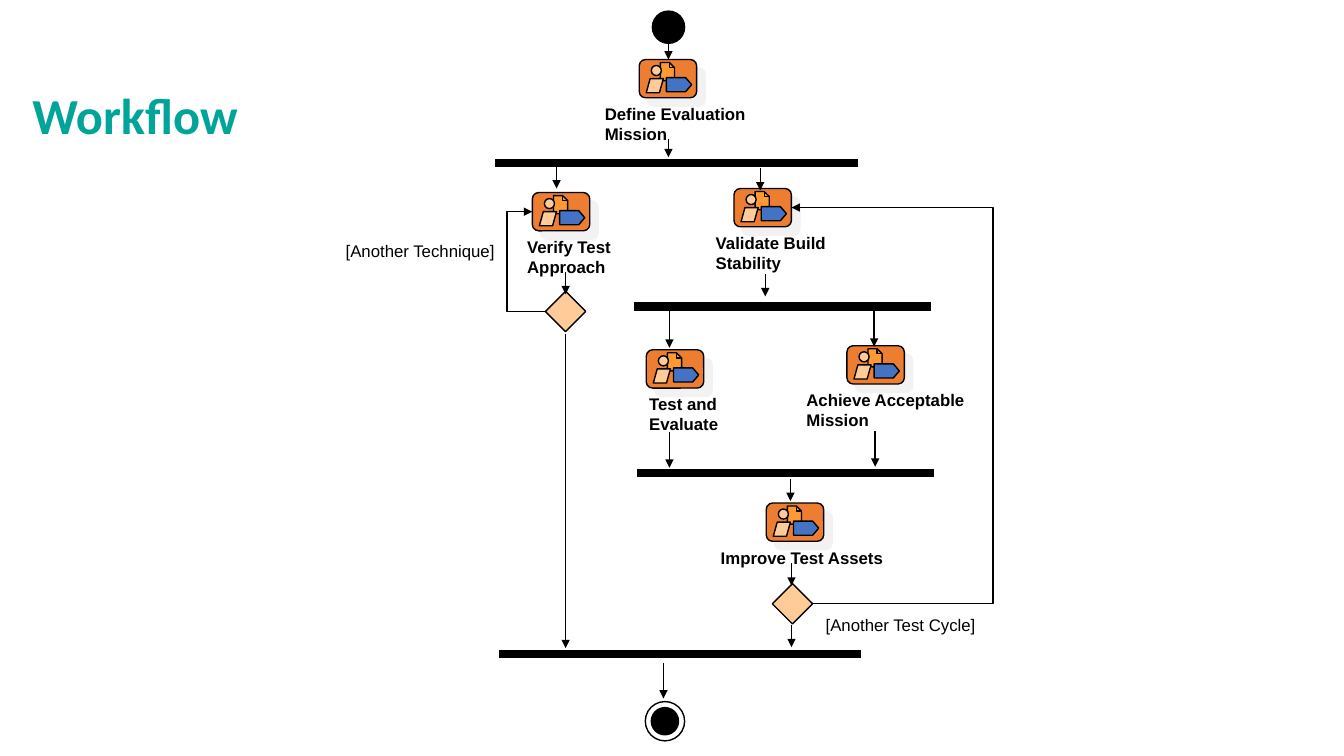
from lxml.etree import SubElement
from pptx import Presentation
from pptx.dml.color import RGBColor
from pptx.enum.shapes import MSO_CONNECTOR, MSO_SHAPE
from pptx.enum.text import MSO_ANCHOR, MSO_AUTO_SIZE, PP_ALIGN
from pptx.oxml.ns import qn
from pptx.util import Pt

EMU_PER_PX = 9144
BLACK, ORANGE, PAPER, PEACH, BLUE, TEAL, SHADOW = (
    "000000", "ED7D31", "FF9933", "FFCC99", "4472C4", "00A499", "E7E6E6")

BARS = [(491, 162, 360), (629, 304, 294), (632, 469, 294), (495, 649, 359)]
ACTIVITIES = [
    (634, 59, 590, 160, ["Define Evaluation", "Mission"]),
    (528, 191, 513, 105, ["Verify Test", "Approach"]),
    (728, 187, 700, 131, ["Validate Build", "Stability"]),
    (641, 347, 634, 89, ["Test and", "Evaluate"]),
    (840, 343, 790, 177, ["Achieve Acceptable", "Mission"]),
    (760, 499, 705, 183, ["Improve Test Assets"]),
]
DECISIONS = [(541, 289), (766, 579)]
GUARDS = [(333, 234, 170, "[Another Technique]"), (809, 605, 171, "[Another Test Cycle]")]
ARROWS = [
    (663, 43, 59), (663, 138, 156), (552, 165, 187), (754, 167, 189),
    (759, 272, 294), (561, 270, 292), (664, 309, 345), (867, 308, 344),
    (664, 429, 464), (868, 428, 463), (784, 475, 497), (785, 559, 581),
    (785, 620, 642), (561, 331, 643), (658, 658, 693),
]
LOOPS = [((806, 599), (785, 206), 985), ((541, 309), (528, 210), 503)]


def px(length):
    return int(length * EMU_PER_PX)


def color(hex_string):
    return RGBColor.from_string(hex_string)


def apply_format(target, values):
    for name, value in values.items():
        setattr(target, name, value)


def style_shape(shape, fill):
    if fill:
        shape.fill.solid()
        shape.fill.fore_color.rgb = color(fill)
    else:
        shape.fill.background()
    shape.line.color.rgb = color(BLACK)
    shape.line.width = Pt(1)
    shape.shadow.inherit = False


def add_preset(slide, kind, box, fill, adjustment=None):
    shape = slide.shapes.add_shape(kind, *map(px, box))
    style_shape(shape, fill)
    if adjustment is not None:
        shape.adjustments[0] = adjustment
    return shape


def add_outline(slide, points, fill, close):
    builder = slide.shapes.build_freeform(*points[0], scale=EMU_PER_PX)
    builder.add_line_segments(points[1:], close=close)
    style_shape(builder.convert_to_shape(), fill)


def add_line(slide, start, end, width=1, arrow=False, kind=MSO_CONNECTOR.STRAIGHT):
    connector = slide.shapes.add_connector(kind, *map(px, (*start, *end)))
    connector.line.color.rgb = color(BLACK)
    connector.line.width = Pt(width)
    properties = connector.element.spPr
    if arrow:
        SubElement(properties.find(qn("a:ln")), qn("a:tailEnd"), type="triangle")
    SubElement(properties, qn("a:effectLst"))
    return connector


def add_label(slide, box, lines, bold):
    frame = slide.shapes.add_textbox(*map(px, box)).text_frame
    apply_format(frame, {"word_wrap": False, "auto_size": MSO_AUTO_SIZE.SHAPE_TO_FIT_TEXT})
    frame.text = "\n".join(lines)
    for paragraph in frame.paragraphs:
        apply_format(paragraph.font, {"name": "Arial", "size": Pt(12), "bold": bold})
        paragraph.font.color.rgb = color(BLACK)


def draw_title(slide, left, top, width, height):
    title = slide.shapes.title
    apply_format(title, {"left": px(left), "top": px(top), "width": px(width), "height": px(height)})
    title.text_frame.text = "Workflow"
    apply_format(title.text_frame, {"vertical_anchor": MSO_ANCHOR.BOTTOM, "word_wrap": True})
    paragraph = title.text_frame.paragraphs[0]
    apply_format(paragraph, {"alignment": PP_ALIGN.LEFT, "line_spacing": 0.9})
    font = paragraph.runs[0].font
    apply_format(font, {"name": "Calibri", "size": Pt(36), "bold": True})
    font.color.rgb = color(TEAL)


def add_card_shadow(card):
    effects = card.element.spPr.find(qn("a:effectLst"))
    shadow = SubElement(effects, qn("a:outerShdw"), dist=str(Pt(8.5)), dir="2700000",
                        algn="ctr", rotWithShape="0")
    tint = SubElement(shadow, qn("a:srgbClr"), val=SHADOW)
    SubElement(tint, qn("a:alpha"), val="50000")


def draw_activity(slide, left, top, label_left, label_width, lines):
    card = add_preset(slide, MSO_SHAPE.ROUNDED_RECTANGLE, (left, top, 57, 38), ORANGE, 0.167)
    add_card_shadow(card)
    page_left, fold_left, page_right = left + 21, left + 30, left + 35
    page_top, fold_bottom, page_bottom = top + 3, top + 8, top + 21
    fold = [(fold_left, page_top), (fold_left, fold_bottom), (page_right, fold_bottom)]
    page = [(page_left, page_top), (page_left, page_bottom), (page_right, page_bottom),
            fold[2], fold[0]]
    add_outline(slide, page, PAPER, True)
    add_outline(slide, fold, None, False)
    add_preset(slide, MSO_SHAPE.PARALLELOGRAM, (left + 7, top + 19, 17, 14), PEACH, 0.279)
    add_preset(slide, MSO_SHAPE.OVAL, (left + 12, top + 6, 10, 10), PEACH)
    add_preset(slide, MSO_SHAPE.PENTAGON, (left + 27, top + 18, 25, 14), BLUE, 0.427)
    add_label(slide, (label_left, top + 39, label_width, 10 + 20 * len(lines)), lines, True)


def draw_end(slide, left, top, size):
    core = 27
    inset = (size - core) / 2
    add_preset(slide, MSO_SHAPE.OVAL, (left + inset, top + inset, core, core), BLACK)
    add_preset(slide, MSO_SHAPE.OVAL, (left, top, size, size), None)


def draw_loop(slide, start, end, lane):
    connector = add_line(slide, start, end, arrow=True, kind=MSO_CONNECTOR.ELBOW)
    bend = round((lane - start[0]) / (end[0] - start[0]) * 100000)
    geometry = connector.element.spPr.find(qn("a:prstGeom"))
    SubElement(geometry.find(qn("a:avLst")), qn("a:gd"), name="adj1", fmla=f"val {bend}")


def draw_workflow(slide):
    add_preset(slide, MSO_SHAPE.OVAL, (647, 11, 32, 32), BLACK)
    for left, middle, width in BARS:
        add_line(slide, (left, middle), (left + width, middle), width=6)
    for activity in ACTIVITIES:
        draw_activity(slide, *activity)
    for left, top in DECISIONS:
        add_preset(slide, MSO_SHAPE.DIAMOND, (left, top, 40, 40), PEACH)
    for left, top, width, text in GUARDS:
        add_label(slide, (left, top, width, 30), [text], False)
    for center, top, bottom in ARROWS:
        add_line(slide, (center, top), (center, bottom), arrow=True)
    for loop in LOOPS:
        draw_loop(slide, *loop)
    draw_end(slide, 640, 696, 39)


def main():
    presentation = Presentation()
    apply_format(presentation, {"slide_width": px(1333), "slide_height": px(750)})
    slide = presentation.slides.add_slide(presentation.slide_layouts[5])
    draw_title(slide, 22, 72, 1290, 77)
    draw_workflow(slide)
    presentation.save("out.pptx")


if __name__ == "__main__":
    main()
